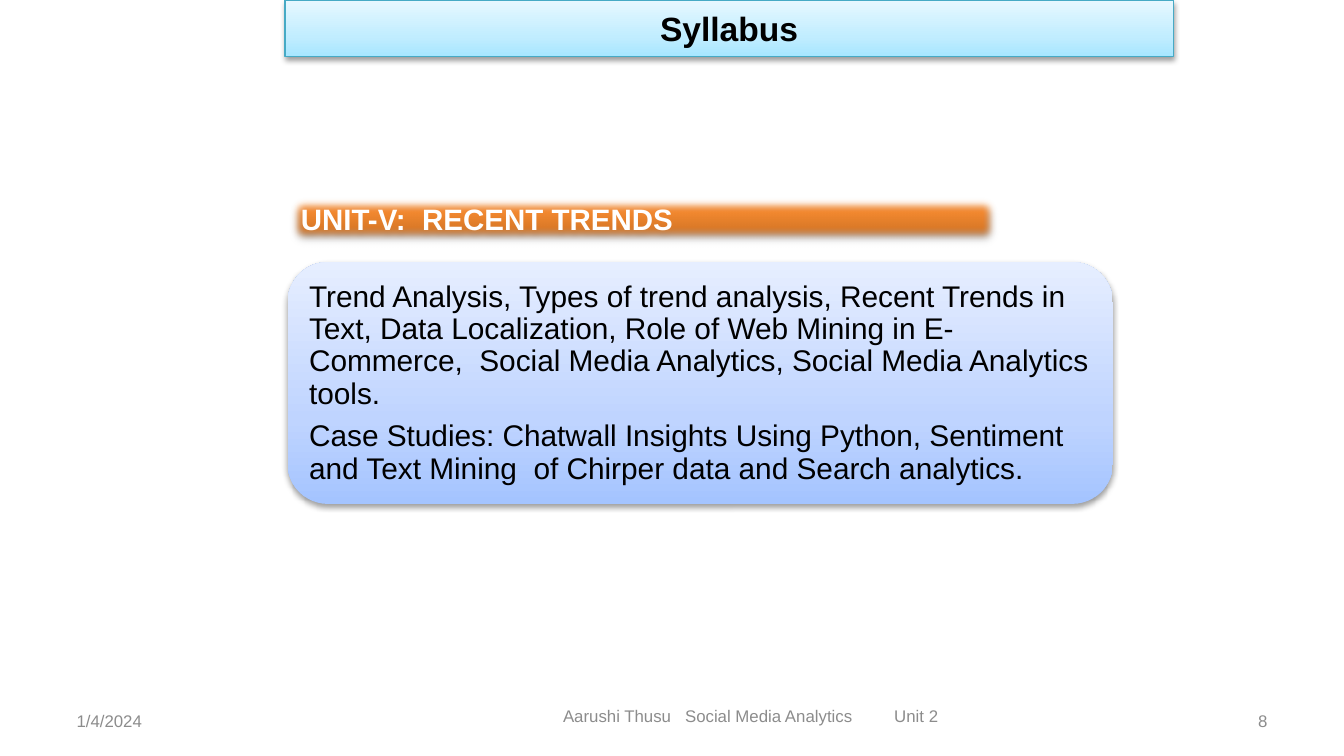
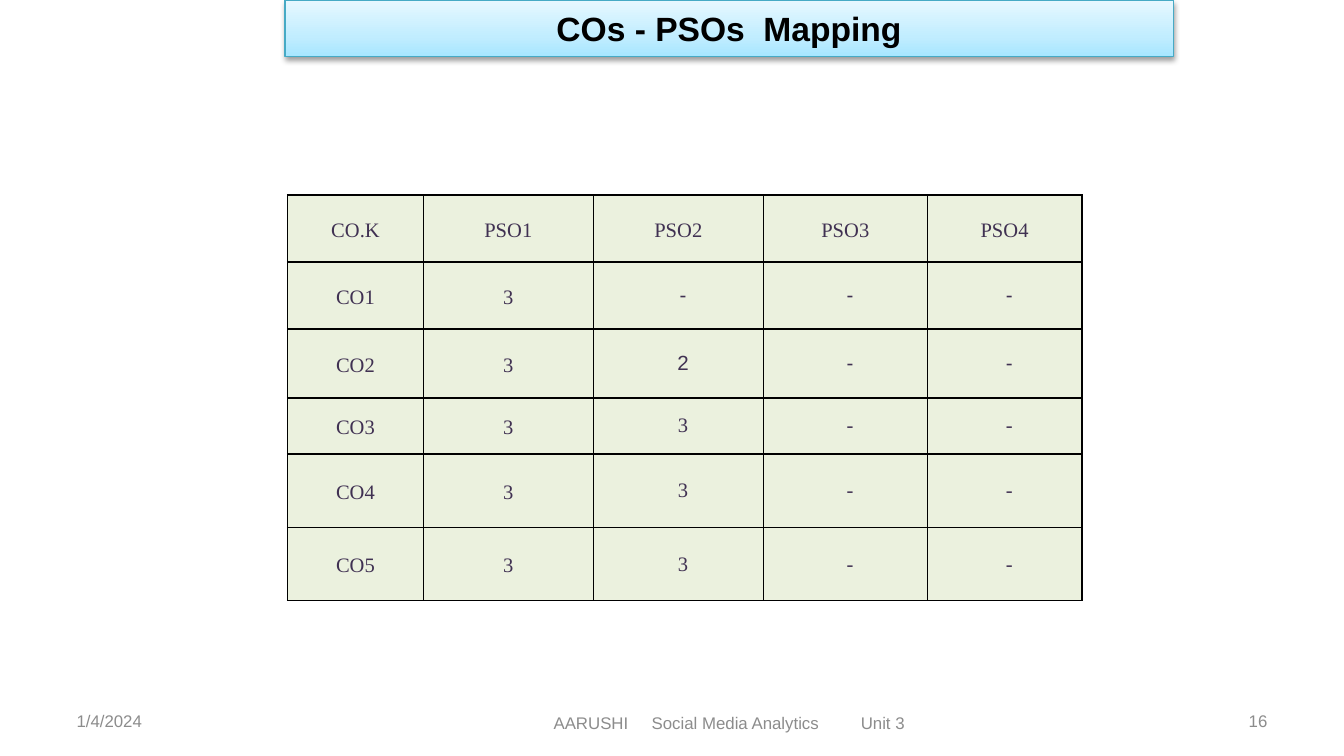
"""Build the syllabus slide and the outcome mapping slide of a course deck."""
from lxml.etree import SubElement
from pptx import Presentation
from pptx.dml.color import RGBColor
from pptx.enum.shapes import MSO_SHAPE
from pptx.enum.text import MSO_ANCHOR, PP_ALIGN
from pptx.oxml import parse_xml
from pptx.oxml.ns import nsdecls, qn
from pptx.util import Inches, Pt

colour = RGBColor.from_string
presentation = Presentation()
presentation.slide_width = Inches(10)
presentation.slide_height = Inches(10 * 9 / 16)
cell_size = presentation.slide_width // 100

BLUE_BAND = [(0, "A7E6FF"), (35, "C1EDFF"), (100, "E7F8FF")]
ORANGE_BAND = [(0, "C2691F"), (80, "FF9034"), (100, "FF9136")]
PANEL = [(0, "A4C4FF"), (35, "BFD4FF"), (100, "E6EEFF")]
FOOTER = {"size": Pt(9), "name": "Arial", "colour": "8C8C8C"}
TITLE = {"size": Pt(18), "name": "Arial", "bold": True, "colour": "000000"}
UNIT = {"size": Pt(15.8), "name": "Arial", "bold": True, "colour": "FFFFFF"}
BODY = {"size": Pt(16), "name": "Arial", "colour": "000000"}
CENTRED = {"alignment": PP_ALIGN.CENTER}


def write(frame, lines, insets, anchor, layout, style):
    """Fill a text frame with paragraphs that share one layout and font."""
    frame.word_wrap = True
    frame.vertical_anchor = anchor
    frame.margin_left = frame.margin_right = Inches(insets[0])
    frame.margin_top = frame.margin_bottom = Inches(insets[1])
    for number, line in enumerate(lines):
        paragraph = frame.add_paragraph() if number else frame.paragraphs[0]
        for name, value in layout.items():
            setattr(paragraph, name, value)
        run = paragraph.add_run()
        run.text = line
        for name, value in style.items():
            if name == "colour":
                run.font.color.rgb = colour(value)
            else:
                setattr(run.font, name, value)


def add_band(slide, kind, box, stops, shadow, soft_edge=False):
    """Add a shape with an upward gradient and a shadow below it."""
    shape = slide.shapes.add_shape(kind, *[int(part * cell_size) for part in box])
    shape.line.fill.background()
    shape.fill.gradient()
    shape.fill.gradient_angle = 90
    properties = shape._element.spPr
    stop_list = properties.find(qn("a:gradFill")).find(qn("a:gsLst"))
    for stop in list(stop_list):
        stop_list.remove(stop)
    for position, value in stops:
        stop = SubElement(stop_list, qn("a:gs"), pos=str(position * 1000))
        SubElement(stop, qn("a:srgbClr"), val=value)
    distance, opacity = shadow
    edge = '<a:softEdge rad="63500"/>' if soft_edge else ""
    properties.append(parse_xml(
        f'<a:effectLst {nsdecls("a")}><a:outerShdw blurRad="{Pt(3.1)}" '
        f'dist="{Pt(distance)}" dir="5400000" rotWithShape="0">'
        f'<a:srgbClr val="000000"><a:alpha val="{opacity * 1000}"/></a:srgbClr>'
        f"</a:outerShdw>{edge}</a:effectLst>"))
    return shape


pages = [
    ("Syllabus", "Aarushi Thusu   Social Media Analytics         Unit 2",
     (39.2, 52.15, 33.3, 2.2), "8"),
    ("COs - PSOs  Mapping", "AARUSHI     Social Media Analytics         Unit 3",
     (37.3, 52.45, 33.9, 2.7), "16"),
]
slides = []
for title, course, course_box, page_number in pages:
    slide = presentation.slides.add_slide(presentation.slide_layouts[6])
    slides.append(slide)
    footers = [
        ("1/4/2024", (5, 52.15, 23.33, 3), PP_ALIGN.LEFT),
        (course, course_box, PP_ALIGN.CENTER),
        (page_number, (71.67, 52.15, 23.33, 3), PP_ALIGN.RIGHT),
    ]
    for text, box, alignment in footers:
        footer = slide.shapes.add_textbox(*[int(part * cell_size) for part in box])
        write(footer.text_frame, [text], (0.07, 0.04), MSO_ANCHOR.MIDDLE,
              {"alignment": alignment}, FOOTER)
    band = add_band(slide, MSO_SHAPE.RECTANGLE, (21.2, 0, 66.1, 4.2), BLUE_BAND, (1.6, 38))
    band.line.color.rgb = colour("46AAC5")
    band.line.width = Pt(0.75)
    write(band.text_frame, [title], (0.06, 0.03), MSO_ANCHOR.MIDDLE, CENTRED, TITLE)

syllabus, mapping = slides

unit_band = add_band(syllabus, MSO_SHAPE.RECTANGLE, (21.4, 14.5, 53, 3.7),
                     ORANGE_BAND, (1.8, 35), soft_edge=True)
write(unit_band.text_frame, ["UNIT-V:  RECENT TRENDS"], (0.1, 0.05), MSO_ANCHOR.TOP,
      {"alignment": PP_ALIGN.JUSTIFY}, UNIT)

topics = [
    "Trend Analysis, Types of trend analysis, Recent Trends in Text, Data "
    "Localization, Role of Web Mining in E-Commerce,  Social Media Analytics, "
    "Social Media Analytics tools.",
    "Case Studies: Chatwall Insights Using Python, Sentiment and Text Mining  "
    "of Chirper data and Search analytics.",
]
panel = add_band(syllabus, MSO_SHAPE.ROUNDED_RECTANGLE, (21.4, 19.5, 61.4, 18),
                 PANEL, (1.6, 38))
topic_box = syllabus.shapes.add_textbox(
    *[int(part * cell_size) for part in (22.3, 20.4, 59.6, 16.3)])
write(topic_box.text_frame, topics, (0.07, 0.07), MSO_ANCHOR.MIDDLE,
      {"alignment": PP_ALIGN.LEFT, "line_spacing": 0.9, "space_after": Pt(5.6)}, BODY)
syllabus.shapes.add_group_shape([panel, topic_box])

column_widths = [10.1, 12.65, 12.65, 12.2, 11.5]
row_heights = [5, 5, 5.1, 4.2, 5.45, 5.45]
scores = [["CO.K", "PSO1", "PSO2", "PSO3", "PSO4"]]
for number, second_score in enumerate("-2333", start=1):
    scores.append([f"CO{number}", "3", second_score, "-", "-"])

table_box = (21.4, 14.5, sum(column_widths), sum(row_heights))
table = mapping.shapes.add_table(
    len(scores), len(column_widths), *[int(part * cell_size) for part in table_box]).table
table.first_row = table.horz_banding = False
for column, width in zip(table.columns, column_widths):
    column.width = int(width * cell_size)
for row, height in zip(table.rows, row_heights):
    row.height = int(height * cell_size)

for row_index, values in enumerate(scores):
    for column_index, value in enumerate(values):
        cell = table.cell(row_index, column_index)
        is_score = row_index > 0 and column_index > 1
        font = "Arial" if is_score and row_index < 3 else "Times New Roman"
        spacing = Pt(12.3) if is_score else 1.15
        write(cell.text_frame, [value], (0, 0), None, {**CENTRED, "line_spacing": spacing},
              {"size": Pt(11), "name": font, "colour": "403152"})
        cell.vertical_anchor = MSO_ANCHOR.MIDDLE
        cell.margin_left = cell.margin_right = Inches(0.04)
        cell.margin_top = cell.margin_bottom = 0
        if is_score:
            cell.text_frame.paragraphs[0]._p.get_or_add_pPr().set("marL", str(Inches(0.07)))
        properties = cell._tc.get_or_add_tcPr()
        for side in ("lnL", "lnR", "lnT", "lnB"):
            border = SubElement(properties, qn(f"a:{side}"), w=str(Pt(1)))
            SubElement(SubElement(border, qn("a:solidFill")), qn("a:srgbClr"), val="000000")
        cell.fill.solid()
        cell.fill.fore_color.rgb = colour("EBF1DE")

presentation.save("out.pptx")
